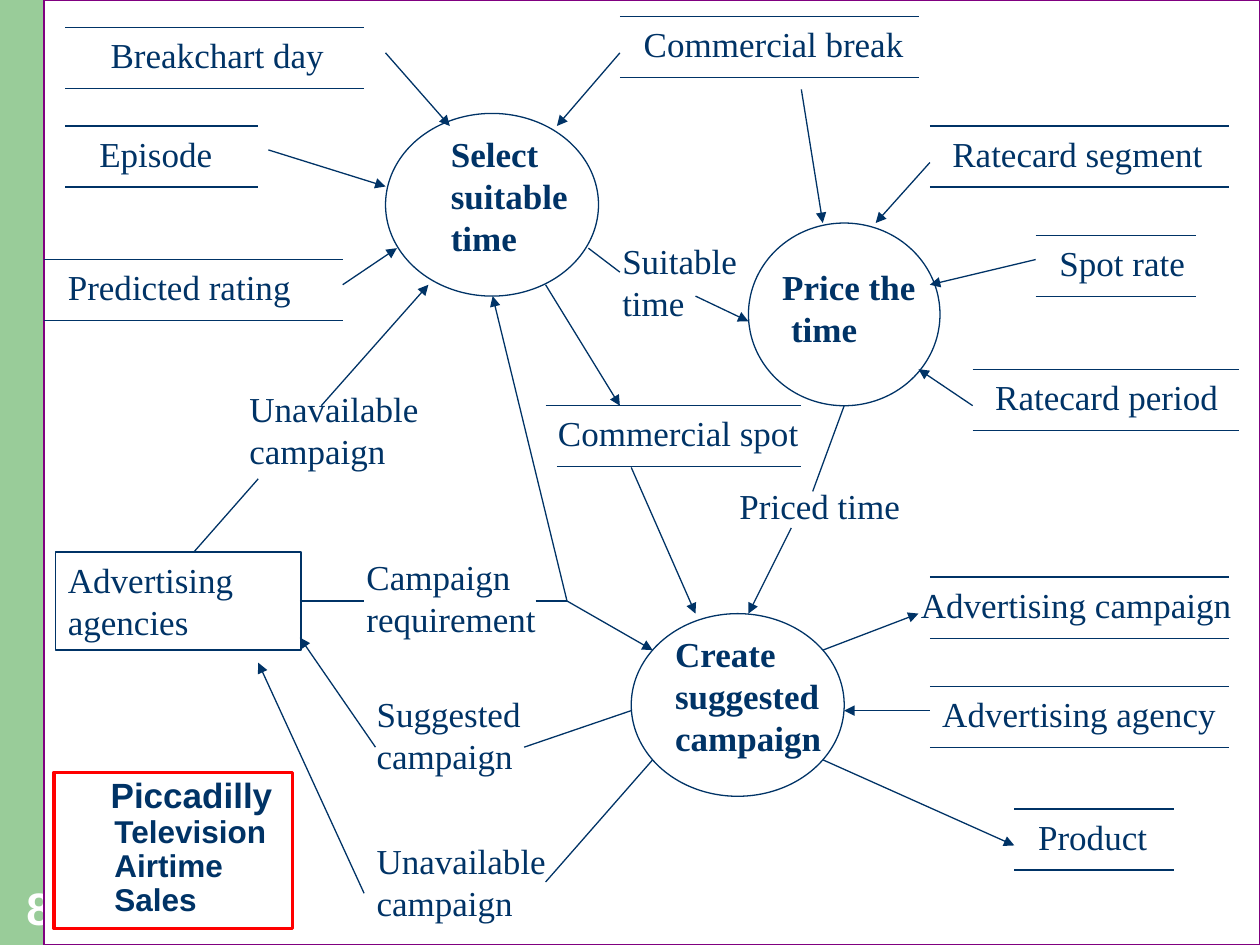
from dataclasses import dataclass
from typing import NamedTuple, Optional

from lxml import etree
from pptx import Presentation
from pptx.dml.color import RGBColor
from pptx.enum.shapes import MSO_CONNECTOR, MSO_SHAPE
from pptx.enum.text import MSO_ANCHOR, PP_ALIGN
from pptx.oxml.ns import qn
from pptx.util import Inches, Pt

RECTANGLE = MSO_SHAPE.RECTANGLE
OVAL = MSO_SHAPE.OVAL
STRAIGHT = MSO_CONNECTOR.STRAIGHT
TOP, BOTTOM = MSO_ANCHOR.TOP, MSO_ANCHOR.BOTTOM
LEFT, CENTER = PP_ALIGN.LEFT, PP_ALIGN.CENTER

COLORS = {"navy": "003366", "green": "99CC99", "white": "FFFFFF",
          "purple": "800080", "red": "FF0000"}
BODY = {"name": "Times New Roman", "size": Pt(20), "bold": False}
PROCESS_FONT = {**BODY, "bold": True}
TITLE = {"name": "Arial", "size": Pt(18), "bold": True}
TITLE_LARGE = {**TITLE, "size": Pt(20)}
NUMBER = {"name": "Arial", "size": Pt(26), "bold": True}
STORE_HEIGHT = 0.485


class Box(NamedTuple):
    left: float
    top: float
    width: float
    height: float


@dataclass
class Label:
    text: str
    box: Box


@dataclass
class Store:
    """Data store: a name between two horizontal lines."""
    name: str
    left: float
    right: float
    top: float
    text_left: float
    text_width: float
    lower_left: Optional[float] = None


@dataclass
class Process:
    lines: list[str]
    oval: Box
    text_box: Box
    second_indent: float = 0


class Flow(NamedTuple):
    x1: float
    y1: float
    x2: float
    y2: float
    arrow: bool = True


STORES = [
    Store("Breakchart day", 0.52, 2.89, 0.22, 0.78, 2.37),
    Store("Episode", 0.52, 2.05, 1, 0.69, 2.37),
    Store("Predicted rating", 0.35, 2.72, 2.06, 0.44, 2.37),
    Store("Commercial break", 4.92, 7.29, 0.13, 5.01, 2.71),
    Store("Ratecard segment", 7.38, 9.75, 1, 7.46, 2.28),
    Store("Spot rate", 8.22, 9.49, 1.87, 8.31, 1.44),
    Store("Ratecard period", 7.72, 9.83, 2.93, 7.8, 2.2),
    Store("Commercial spot", 4.33, 6.36, 3.22, 4.33, 2.28, 4.42),
    Store("Advertising campaign", 7.38, 9.75, 4.58, 7.21, 2.71),
    Store("Advertising agency", 7.38, 9.75, 5.45, 7.38, 2.54),
    Store("Product", 8.05, 9.32, 6.42, 8.14, 1.18),
]

FLOW_LABELS = [
    Label("Unavailable campaign", Box(1.88, 3.03, 1.95, 0.77)),
    Label("Campaign requirement", Box(2.81, 4.36, 1.86, 0.77)),
    Label("Suggested campaign", Box(2.89, 5.45, 1.95, 0.77)),
    Label("Unavailable campaign", Box(2.89, 6.61, 1.95, 0.77)),
    Label("Suitable time", Box(4.84, 1.85, 1.18, 0.77)),
    Label("Priced time", Box(5.77, 3.8, 1.52, 0.43)),
]

PROCESSES = [
    Process(["Select suitable time"], Box(3.06, 0.9, 1.69, 1.45), Box(3.48, 1, 1.27, 1.1)),
    Process(["Price the", "time"], Box(5.94, 1.77, 1.52, 1.45),
            Box(6.11, 2.06, 1.27, 0.77), second_indent=0.07),
    Process(["Create suggested campaign"], Box(5.01, 4.87, 1.69, 1.45),
            Box(5.26, 4.97, 1.44, 1.1)),
]

FLOWS = [
    # Into and out of "Select suitable time"
    Flow(3.06, 0.42, 3.57, 1), Flow(2.13, 1.19, 3.06, 1.48),
    Flow(2.72, 2.26, 3.15, 1.97), Flow(4.92, 0.42, 4.42, 1),
    Flow(1.54, 4.38, 2.05, 3.8, False), Flow(2.55, 3.22, 3.4, 2.26),
    Flow(4.67, 1.97, 4.92, 2.16, False), Flow(5.52, 2.35, 5.94, 2.55),
    Flow(4.33, 2.26, 4.92, 3.22),
    # Into and out of "Price the time"
    Flow(7.38, 1.29, 6.95, 1.77), Flow(8.22, 2.06, 7.38, 2.26),
    Flow(7.72, 3.22, 7.29, 2.93), Flow(6.36, 0.71, 6.53, 1.77),
    Flow(6.7, 3.22, 6.45, 3.9, False), Flow(6.28, 4.19, 5.94, 4.87),
    # Into and out of "Create suggested campaign"
    Flow(5.01, 3.71, 5.52, 4.87), Flow(7.38, 5.64, 6.7, 5.64),
    Flow(6.53, 5.16, 7.29, 4.87), Flow(6.53, 6.03, 8.05, 6.71),
    # Between the agencies and the processes
    Flow(2.38, 4.77, 2.89, 4.77, False), Flow(4.25, 4.77, 4.5, 4.77, False),
    Flow(4.5, 4.77, 5.18, 5.16), Flow(4.5, 4.77, 3.91, 2.35),
    Flow(4.16, 5.93, 5.01, 5.64, False), Flow(2.98, 5.93, 2.38, 5.06),
    Flow(4.33, 7, 5.18, 6.03, False), Flow(2.89, 7.09, 2.05, 5.26),
]


def rgb(name: str) -> RGBColor:
    return RGBColor.from_string(COLORS[name])


def add_run(paragraph, text: str, font_format: dict, color: str = "navy") -> None:
    run = paragraph.add_run()
    run.text = text
    for attribute, value in font_format.items():
        setattr(run.font, attribute, value)
    run.font.color.rgb = rgb(color)


def prepare_frame(shape, anchor=TOP):
    frame = shape.text_frame
    frame_format = {"word_wrap": True, "vertical_anchor": anchor,
                    "margin_left": Inches(0.1), "margin_right": Inches(0.1),
                    "margin_top": Inches(0.05), "margin_bottom": Inches(0.05)}
    for attribute, value in frame_format.items():
        setattr(frame, attribute, value)
    frame.paragraphs[0].alignment = LEFT
    return frame


def add_text(slide, text: str, box: Box, font_format: dict = BODY,
             color: str = "navy", anchor=TOP):
    frame = prepare_frame(slide.shapes.add_textbox(*map(Inches, box)), anchor)
    add_run(frame.paragraphs[0], text, font_format, color)
    return frame


def add_outline(slide, kind, box: Box, fill: Optional[str] = None,
                line: Optional[str] = "navy", width: float = 0.75):
    shape = slide.shapes.add_shape(kind, *map(Inches, box))
    shape.shadow.inherit = False
    if fill:
        shape.fill.solid()
        shape.fill.fore_color.rgb = rgb(fill)
    else:
        shape.fill.background()
    if line:
        shape.line.color.rgb = rgb(line)
        shape.line.width = Pt(width)
    else:
        shape.line.fill.background()
    return shape


def add_flow(slide, flow: Flow) -> None:
    connector = slide.shapes.add_connector(STRAIGHT, *map(Inches, flow[:4]))
    connector.line.color.rgb = rgb("navy")
    connector.line.width = Pt(0.75)
    if flow.arrow:
        line = connector.line._get_or_add_ln()
        etree.SubElement(line, qn("a:tailEnd"), type="triangle")
    etree.SubElement(connector._element.spPr, qn("a:effectLst"))


def add_store(slide, store: Store) -> None:
    bottom = store.top + STORE_HEIGHT
    lower_left = store.lower_left or store.left
    add_flow(slide, Flow(store.left, store.top, store.right, store.top, False))
    add_flow(slide, Flow(lower_left, bottom, store.right, bottom, False))
    add_text(slide, store.name, Box(store.text_left, store.top, store.text_width, 0.43))


def add_process(slide, process: Process) -> None:
    add_outline(slide, OVAL, process.oval)
    frame = add_text(slide, process.lines[0], process.text_box, PROCESS_FONT)
    for line in process.lines[1:]:
        paragraph = frame.add_paragraph()
        paragraph._p.get_or_add_pPr().set("marL", str(Inches(process.second_indent)))
        add_run(paragraph, line, PROCESS_FONT)


def main() -> None:
    presentation = Presentation()
    presentation.slide_width, presentation.slide_height = Inches(10), Inches(7.5)
    slide = presentation.slides.add_slide(presentation.slide_layouts[6])

    # Side band, slide number and diagram panel
    add_outline(slide, RECTANGLE, Box(0, 0, 0.81, 7.5), "green", None)
    number = add_text(slide, "81", Box(0.09, 6.94, 0.64, 0.53), NUMBER, "white", BOTTOM)
    number.paragraphs[0].alignment = CENTER
    add_outline(slide, RECTANGLE, Box(0.35, 0, 9.65, 7.5), "white", "purple")

    # External entity
    agencies = add_outline(slide, RECTANGLE, Box(0.44, 4.38, 1.95, 0.78))
    add_run(prepare_frame(agencies).paragraphs[0], "Advertising agencies", BODY)

    # Diagram
    for label in FLOW_LABELS:
        add_text(slide, label.text, label.box)
    for process in PROCESSES:
        add_process(slide, process)
    for store in STORES:
        add_store(slide, store)
    for flow in FLOWS:
        add_flow(slide, flow)

    # Diagram title
    title = add_outline(slide, RECTANGLE, Box(0.43, 6.13, 1.89, 1.24), None, "red", 2)
    paragraph = prepare_frame(title).paragraphs[0]
    paragraph.line_spacing = 0.9
    properties = paragraph._p.get_or_add_pPr()
    properties.set("marL", str(Inches(0.38)))
    properties.set("indent", str(Inches(-0.03)))
    add_run(paragraph, "Piccadilly ", TITLE_LARGE)
    add_run(paragraph, "Television Airtime Sales", TITLE)

    presentation.save("out.pptx")


if __name__ == "__main__":
    main()
